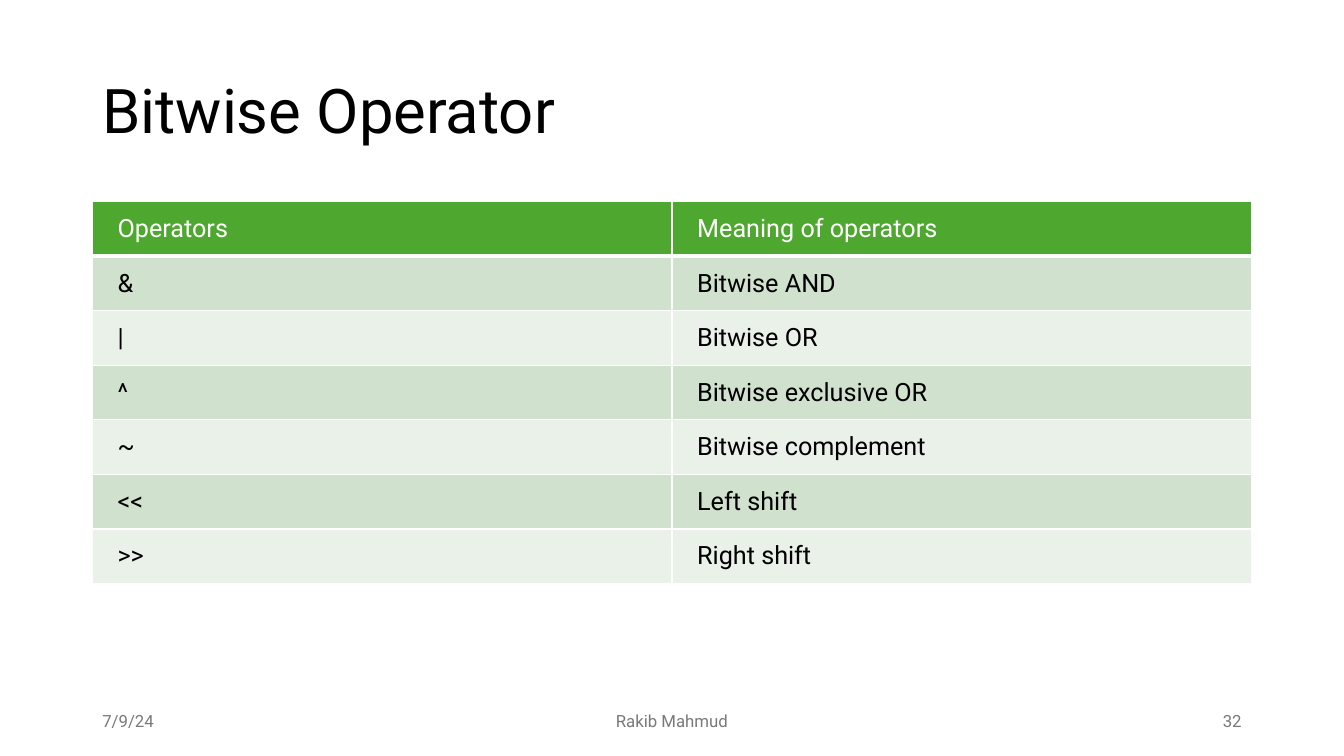
from dataclasses import dataclass

from lxml.etree import SubElement
from pptx import Presentation
from pptx.dml.color import RGBColor
from pptx.enum.text import MSO_ANCHOR as Anchor, PP_ALIGN as Align
from pptx.oxml import parse_xml
from pptx.oxml.ns import nsdecls, qn
from pptx.util import Inches, Pt

COLUMNS, ROWS = 160, 90
UNIT = Inches(1) // 12
FONT = "Roboto"
WHITE, BLACK, GREY = "FFFFFF", "000000", "797979"
HEADER, BANDS = "4EA72E", ("E9F1E8", "D0E1CD")
OPERATORS = [
    ("Operators", "Meaning of operators"),
    ("&", "Bitwise AND"),
    ("|", "Bitwise OR"),
    ("^", "Bitwise exclusive OR"),
    ("~", "Bitwise complement"),
    ("<<", "Left shift"),
    (">>", "Right shift"),
]


@dataclass(frozen=True)
class Box:
    """A rectangle in grid columns and rows."""
    col: float
    row: float
    cols: float
    rows: float

    def emu(self) -> list[int]:
        """Return left, top, width and height in EMU."""
        return [round(n * UNIT) for n in (self.col, self.row, self.cols, self.rows)]


@dataclass(frozen=True)
class Label:
    """A one-line text with its place and style."""
    text: str
    box: Box
    size: int = 12
    color: str = GREY
    align: Align = Align.LEFT
    spacing: float = 1.0


LABELS = [
    Label("Bitwise Operator", Box(11, 4.8, 138, 17.4), 44, BLACK, spacing=0.9),
    Label("7/9/24", Box(11, 83.4, 36, 4.8)),
    Label("Rakib Mahmud", Box(53, 83.4, 54, 4.8), align=Align.CENTER),
    Label("32", Box(113, 83.4, 36, 4.8), align=Align.RIGHT),
]
TABLE = Box(11, 24, 138, 6.5 * len(OPERATORS))


def rgb(color: str) -> RGBColor:
    """Turn a hex string into a colour."""
    return RGBColor.from_string(color)


def add_run(p, text: str, size: int, color: str) -> None:
    """Append a styled run to a paragraph."""
    r = p.add_run()
    r.text = text
    r.font.name, r.font.size = FONT, Pt(size)
    r.font.color.rgb = rgb(color)


def add_label(slide, label: Label) -> None:
    """Draw a label as a wrapped text box."""
    tf = slide.shapes.add_textbox(*label.box.emu()).text_frame
    tf.word_wrap = True
    tf.vertical_anchor = Anchor.MIDDLE
    p = tf.paragraphs[0]
    p.alignment, p.line_spacing = label.align, label.spacing
    add_run(p, label.text, label.size, label.color)


def set_borders(cell, top: int, bottom: int) -> None:
    """Give a cell white borders, in points."""
    tc_pr = cell._tc.get_or_add_tcPr()
    sides = {"L": 1, "R": 1, "T": top, "B": bottom}
    for i, (side, width) in enumerate(sides.items()):
        ln = parse_xml(f'<a:ln{side} {nsdecls("a")} w="{Pt(width)}"/>')
        fill = SubElement(ln, qn("a:solidFill"))
        SubElement(fill, qn("a:srgbClr"), val=WHITE)
        tc_pr.insert(i, ln)


def add_cell(cell, text: str, row: int) -> None:
    """Fill and letter one cell according to its row."""
    cell.fill.solid()
    cell.fill.fore_color.rgb = rgb(BANDS[row % 2] if row else HEADER)
    cell.vertical_anchor = Anchor.MIDDLE
    cell.margin_left = cell.margin_right = Inches(0.25)
    cell.margin_top = cell.margin_bottom = Inches(0.12)
    set_borders(cell, top=3 if row == 1 else 1, bottom=1 if row else 3)
    add_run(cell.text_frame.paragraphs[0], text, 18, BLACK if row else WHITE)


def add_operators(slide) -> None:
    """Draw the table of operators."""
    shape = slide.shapes.add_table(len(OPERATORS), len(OPERATORS[0]), *TABLE.emu())
    for i, texts in enumerate(OPERATORS):
        for j, text in enumerate(texts):
            add_cell(shape.table.cell(i, j), text, i)


def main() -> None:
    """Build and save the slide."""
    prs = Presentation()
    prs.slide_width, prs.slide_height = COLUMNS * UNIT, ROWS * UNIT
    slide = prs.slides.add_slide(prs.slide_layouts[6])
    title, *footer = LABELS
    add_label(slide, title)
    add_operators(slide)
    for label in footer:
        add_label(slide, label)
    prs.save("out.pptx")


if __name__ == "__main__":
    main()
